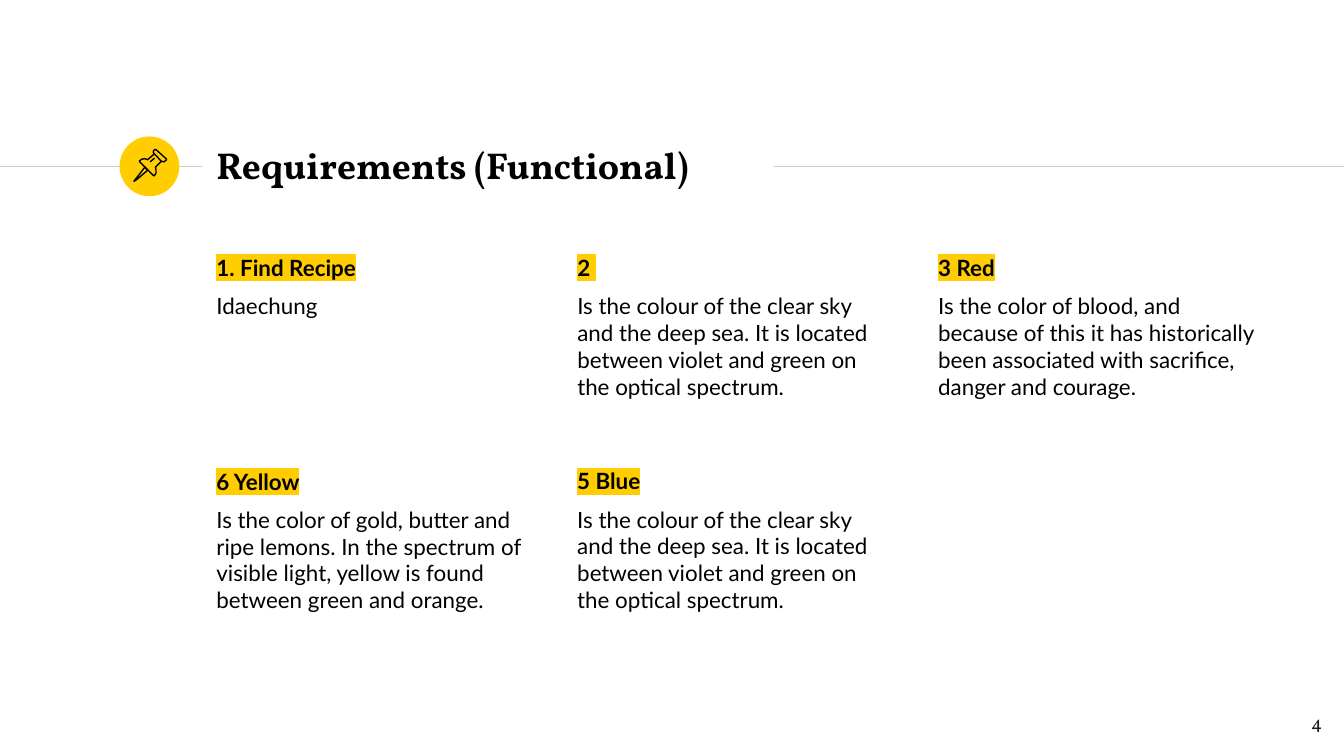
from pptx import Presentation
from pptx.dml.color import RGBColor
from pptx.enum.shapes import MSO_CONNECTOR, MSO_SHAPE
from pptx.enum.text import MSO_ANCHOR, MSO_AUTO_SIZE, PP_ALIGN
from pptx.oxml.ns import qn
from pptx.util import Cm, Pt
from lxml.etree import SubElement

COLOURS = {"ink": "000000", "accent": "FFCD00", "rule": "CCCCCC", "number": "1D1D1B"}

REQUIREMENTS = [
    ("1. Find Recipe", "Idaechung"),
    ("2 ", "Is the colour of the clear sky and the deep sea. It is located "
           "between violet and green on the optical spectrum."),
    ("3 Red", "Is the color of blood, and because of this it has historically "
              "been associated with sacrifice, danger and courage."),
    ("6 Yellow", "Is the color of gold, butter and ripe lemons. In the spectrum of "
                 "visible light, yellow is found between green and orange."),
    ("5 Blue", "Is the colour of the clear sky and the deep sea. It is located "
               "between violet and green on the optical spectrum."),
]

PIN_OUTLINES = [
    ([(48, 58), (30, 81), (27, 85), (33, 81), (53, 64)], True),
    ([(66, 33), (79, 47), (84, 48), (88, 45), (89, 43), (69, 25), (66, 25),
      (64, 28), (64, 31)], True),
    ([(66, 33), (53, 44), (48, 42), (42, 43), (38, 46), (38, 48), (64, 74),
      (66, 74), (69, 69), (69, 64), (68, 58), (79, 47)], False),
    ([(58, 48), (66, 41)], False),
]


def colour(name):
    """Return the named palette colour."""
    return RGBColor.from_string(COLOURS[name])


def place(shape, left, top, width, height):
    """Move a shape to a box given in centimetres."""
    shape.left, shape.top = Cm(left), Cm(top)
    shape.width, shape.height = Cm(width), Cm(height)


def prepare_frame(shape, anchor):
    """Set wrapping, insets and anchor, and return the text frame."""
    frame = shape.text_frame
    frame.word_wrap = True
    frame.auto_size = MSO_AUTO_SIZE.NONE
    frame.vertical_anchor = anchor
    frame.margin_left = frame.margin_right = Cm(0.25)
    frame.margin_top = frame.margin_bottom = Cm(0.25)
    return frame


def format_runs(para, face, size, bold=False, ink="ink"):
    """Format every run of a paragraph."""
    for span in para.runs:
        span.font.name, span.font.size, span.font.bold = face, Pt(size), bold
        span.font.color.rgb = colour(ink)


def highlight(span):
    """Mark a coloured run with the accent colour."""
    properties = span.font._element
    mark = properties.makeelement(qn("a:highlight"))
    SubElement(mark, qn("a:srgbClr"), val=COLOURS["accent"])
    properties.find(qn("a:solidFill")).addnext(mark)


def add_rule(page, left, right, top):
    """Draw a thin horizontal rule."""
    rule = page.shapes.add_connector(
        MSO_CONNECTOR.STRAIGHT, Cm(left), Cm(top), Cm(right), Cm(top))
    rule.line.color.rgb = colour("rule")
    rule.line.width = Pt(0.75)
    SubElement(rule._element.spPr, qn("a:effectLst"))


def add_pin_badge(page, left, top, size):
    """Draw the round badge with its pushpin."""
    badge = page.shapes.add_shape(
        MSO_SHAPE.OVAL, Cm(left), Cm(top), Cm(size), Cm(size))
    badge.shadow.inherit = False
    badge.fill.solid()
    badge.fill.fore_color.rgb = colour("accent")
    badge.line.fill.background()
    pin = page.shapes.add_group_shape()
    for points, closed in PIN_OUTLINES:
        builder = pin.shapes.build_freeform(*points[0], scale=Cm(0.01))
        builder.add_line_segments(points[1:], close=closed)
        outline = builder.convert_to_shape(Cm(left), Cm(top))
        outline.shadow.inherit = False
        outline.fill.background()
        outline.line.color.rgb = colour("ink")
        outline.line.width = Pt(0.75)


def fill_title(page, left, top, width, height):
    """Place and format the slide title."""
    title = page.shapes.title
    place(title, left, top, width, height)
    frame = prepare_frame(title, MSO_ANCHOR.MIDDLE)
    frame.text = "Requirements (Functional)"
    frame.paragraphs[0].alignment = PP_ALIGN.LEFT
    format_runs(frame.paragraphs[0], "Vollkorn", 20, bold=True)


def fill_requirement(box, heading, description):
    """Write one requirement as a marked heading and a description."""
    frame = prepare_frame(box, MSO_ANCHOR.TOP)
    for index, text in enumerate((heading, description)):
        para = frame.add_paragraph() if index else frame.paragraphs[0]
        para.text = text
        para.space_before = Pt(6 * index)
        properties = para._p.get_or_add_pPr()
        properties.set("marL", "0")
        properties.set("indent", "0")
        SubElement(properties, qn("a:buNone"))
        format_runs(para, "Lato", 12, bold=index == 0)
    highlight(frame.paragraphs[0].runs[0])


def fill_requirements(page, left, top, width, height):
    """Lay the requirements out in a grid of three columns and two rows."""
    cell_width, cell_height = 6.48, 3.35
    column_step, row_step = (width - cell_width) / 2, height - cell_height
    boxes = [holder for holder in page.placeholders if holder.placeholder_format.idx]
    boxes.append(page.shapes.add_textbox(0, 0, 0, 0))
    for index, (box, requirement) in enumerate(zip(boxes, REQUIREMENTS)):
        row, column = divmod(index, 3)
        place(box, left + column * column_step, top + row * row_step,
              cell_width, cell_height)
        fill_requirement(box, *requirement)


def add_page_number(page, left, top, width, height):
    """Write the page number in its corner box."""
    box = page.shapes.add_textbox(Cm(left), Cm(top), Cm(width), Cm(height))
    frame = prepare_frame(box, MSO_ANCHOR.TOP)
    frame.text = "4"
    frame.paragraphs[0].alignment = PP_ALIGN.RIGHT
    format_runs(frame.paragraphs[0], "Vollkorn", 10, ink="number")


def main():
    """Build the requirements slide and save the deck."""
    deck = Presentation()
    deck.slide_width, deck.slide_height = Cm(25.4), Cm(14.29)
    page = deck.slides.add_slide(deck.slide_layouts.get_by_name("Comparison"))
    add_rule(page, 0, 3.82, 3.15)
    add_rule(page, 14.63, 25.4, 3.15)
    add_pin_badge(page, 2.26, 2.58, 1.13)
    fill_title(page, 3.84, 2.5, 10.77, 1.22)
    fill_requirements(page, 3.84, 4.55, 20.12, 7.39)
    add_page_number(page, 23.72, 13.18, 1.52, 1.09)
    deck.save("out.pptx")


if __name__ == "__main__":
    main()
